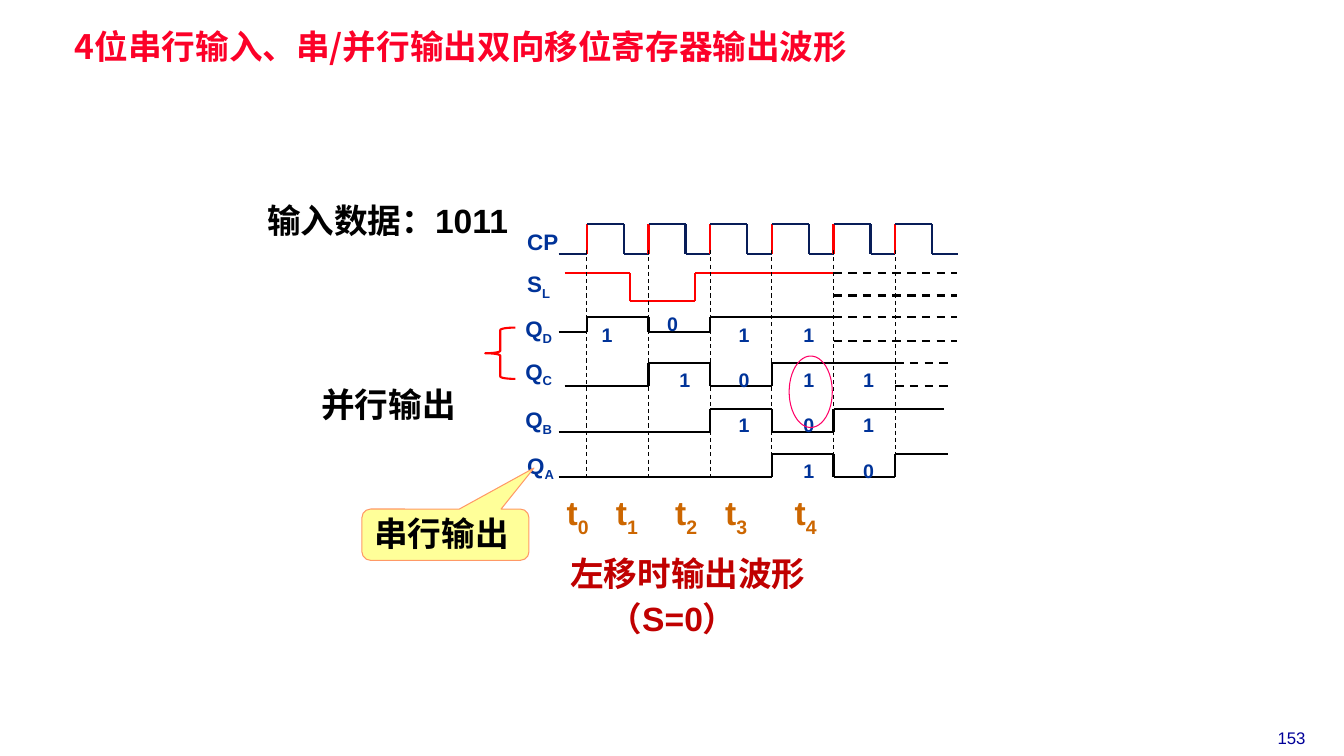
from itertools import pairwise
from lxml.etree import SubElement
from pptx import Presentation
from pptx.dml.color import RGBColor
from pptx.enum.dml import MSO_LINE
from pptx.enum.shapes import MSO_CONNECTOR, MSO_SHAPE
from pptx.enum.text import MSO_ANCHOR, PP_ALIGN
from pptx.oxml.ns import qn
from pptx.util import Inches, Pt

COLORS = {
    "title": "FC0128", "label": "003399", "clock": "081D58", "red": "FF0000",
    "black": "000000", "white": "FFFFFF", "time": "CC6600", "caption": "C00000",
    "ring": "FF0066", "note": "FFFF99", "note_edge": "FF9966", "page": "000099",
}
COLORS = {name: RGBColor.from_string(value) for name, value in COLORS.items()}

presentation = Presentation()
presentation.slide_width = Inches(13.33)
presentation.slide_height = Inches(7.5)
slide = presentation.slides.add_slide(presentation.slide_layouts[6])
COLUMN = presentation.slide_width / 21.8
ROW = presentation.slide_height / 16.5


def draw_line(x1, y1, x2, y2, color="black", width=1.5, dashed=False):
    line = slide.shapes.add_connector(
        MSO_CONNECTOR.STRAIGHT,
        round(x1 * COLUMN), round(y1 * ROW), round(x2 * COLUMN), round(y2 * ROW))
    line.line.color.rgb = COLORS[color]
    line.line.width = Pt(width)
    if dashed:
        line.line.dash_style = MSO_LINE.DASH
    SubElement(line._element.spPr, qn("a:effectLst"))


def write(cell, runs, size, color, preset=None, font="Arial", bold=True):
    left, top, width, height = cell
    bounds = (round(left * COLUMN), round(top * ROW), round(width * COLUMN), round(height * ROW))
    if preset:
        shape = slide.shapes.add_shape(preset, *bounds)
        shape.shadow.inherit = False
        shape.fill.solid()
        shape.fill.fore_color.rgb = COLORS["white"]
        shape.line.fill.background()
    else:
        shape = slide.shapes.add_textbox(*bounds)
    frame = shape.text_frame
    frame.word_wrap = True
    frame.vertical_anchor = MSO_ANCHOR.TOP
    paragraph = frame.paragraphs[0]
    paragraph.alignment = PP_ALIGN.LEFT
    for index, text in enumerate(runs):
        run = paragraph.add_run()
        run.text = text
        run.font.size = Pt(size)
        run.font.bold = bold
        run.font.name = font
        run.font.color.rgb = COLORS[color]
        properties = run._r.get_or_add_rPr()
        SubElement(properties, qn("a:ea")).set("typeface", "Noto Sans CJK SC")
        if index % 2:
            properties.set("baseline", "-25000")
    return shape


page_number = write((20.18, 15.77, 1.54, 0.66), ["153"], 12, "page", bold=False)
page_number.text_frame.paragraphs[0].alignment = PP_ALIGN.CENTER

title = write((1.1, 0.62, 13.22, 0.9), ["4位串行输入、串/并行输出双向移位寄存器输出波形"],
              24, "title", font="Noto Sans CJK SC")
title.text_frame.margin_left = title.text_frame.margin_right = Inches(0.07)
title.text_frame.margin_top = title.text_frame.margin_bottom = Inches(0.03)
title.text_frame.paragraphs[0].line_spacing = 0.87

edges = [9.52 + pulse for pulse in range(6)]
clock_toggles = [x for edge in edges for x in (edge, edge + 0.6)]

signals = [
    (4.88, 5.54, 9.06, 0, clock_toggles, 15.54, "clock", "red"),
    (5.95, 6.58, 9.16, 1, [10.22, 11.28], edges[4], "red", "red"),
    (6.91, 7.24, 9.06, 0, edges[0:3], edges[4], "black", "black"),
    (7.92, 8.43, 9.16, 0, edges[1:4], edges[5], "black", "black"),
    (8.92, 9.42, 9.06, 0, edges[2:5], 15.31, "black", "black"),
    (9.91, 10.41, 9.06, 0, edges[3:6], 15.37, "black", "black"),
]
for high, low, start, level, toggles, end, color, rise_color in signals:
    for x1, x2 in pairwise([start, *toggles, end]):
        y = high if level else low
        draw_line(x1, y, x2, y, color)
        if x2 != end:
            draw_line(x2, low, x2, high, color if level else rise_color)
        level = 1 - level

for edge in edges:
    draw_line(edge, 5.46, edge, 10.41, width=0.75, dashed=True)

for start, end, levels in [(edges[4], 15.52, (5.95, 6.45, 6.91, 7.44)),
                           (edges[5], 15.42, (7.92, 8.43))]:
    for y in levels:
        draw_line(start, y, end, y, dashed=True)

signal_names = [
    (8.39, 4.88, ["CP"]), (8.39, 5.79, ["S", "L"]), (8.36, 6.78, ["Q", "D"]),
    (8.36, 7.7, ["Q", "C"]), (8.36, 8.76, ["Q", "B"]), (8.39, 9.75, ["Q", "A"]),
]
for x, y, runs in signal_names:
    write((x, y, 0.95, 0.81), runs, 16, "label")

bit_rows = [
    (6.93, [(9.6, "1"), (11.82, "1"), (12.87, "1")]),
    (6.71, [(10.66, "0")]),
    (7.92, [(10.86, "1"), (11.82, "0"), (12.87, "1"), (13.84, "1")]),
    (8.91, [(11.82, "1"), (12.87, "0"), (13.84, "1")]),
    (9.9, [(12.87, "1"), (13.84, "0")]),
]
for y, bits in bit_rows:
    for x, bit in bits:
        write((x, y, 0.43, 0.75), [bit], 14, "label")

times = write((9.03, 10.63, 5.63, 1.12),
              ["t", "0", "\tt", "1", "\tt", "2", "\tt", "3", "\tt", "4"], 24, "time")
tab_list = SubElement(times.text_frame.paragraphs[0]._p.get_or_add_pPr(), qn("a:tabLst"))
for stop in (0.8, 1.76, 2.57, 3.7):
    SubElement(tab_list, qn("a:tab"), pos=str(round(stop * COLUMN)), algn="l")

ring = write((12.8, 7.77, 0.7, 1.56), [], 14, "label", MSO_SHAPE.OVAL)
ring.fill.background()
ring.line.color.rgb = COLORS["ring"]
ring.line.width = Pt(0.75)

caption = write((9.09, 11.88, 5.97, 0.88), ["左移时输出波形（S=0）"], 24, "caption",
                MSO_SHAPE.RECTANGLE)

brace = write((7.87, 7.15, 0.49, 1.12), [], 14, "label", MSO_SHAPE.LEFT_BRACE)
brace.fill.background()
brace.line.color.rgb = COLORS["red"]
brace.line.width = Pt(1.5)
brace.adjustments[0] = 0.08

parallel = write((5.05, 8.18, 2.91, 1.03), ["并行输出"], 24, "black",
                 MSO_SHAPE.RECTANGLE, "Noto Sans CJK SC")

for shape in (caption, parallel):
    paragraph = shape.text_frame.paragraphs[0]
    paragraph.line_spacing = 1.1
    paragraph._p.get_or_add_pPr().set("marL", str(Inches(0.38)))
    paragraph._p.get_or_add_pPr().set("indent", str(Inches(-0.38)))

serial = write((5.87, 11.11, 2.71, 1.12), ["串行输出"], 24, "black",
               MSO_SHAPE.ROUNDED_RECTANGULAR_CALLOUT)
serial.fill.fore_color.rgb = COLORS["note"]
serial.line.color.rgb = COLORS["note_edge"]
serial.line.width = Pt(0.75)
serial.text_frame.vertical_anchor = MSO_ANCHOR.BOTTOM
for index, value in enumerate((0.53, -1.3, 0.17)):
    serial.adjustments[index] = value

write((4.17, 4.25, 5.05, 1.1), ["输入数据：1011"], 24, "black")

presentation.save("out.pptx")
